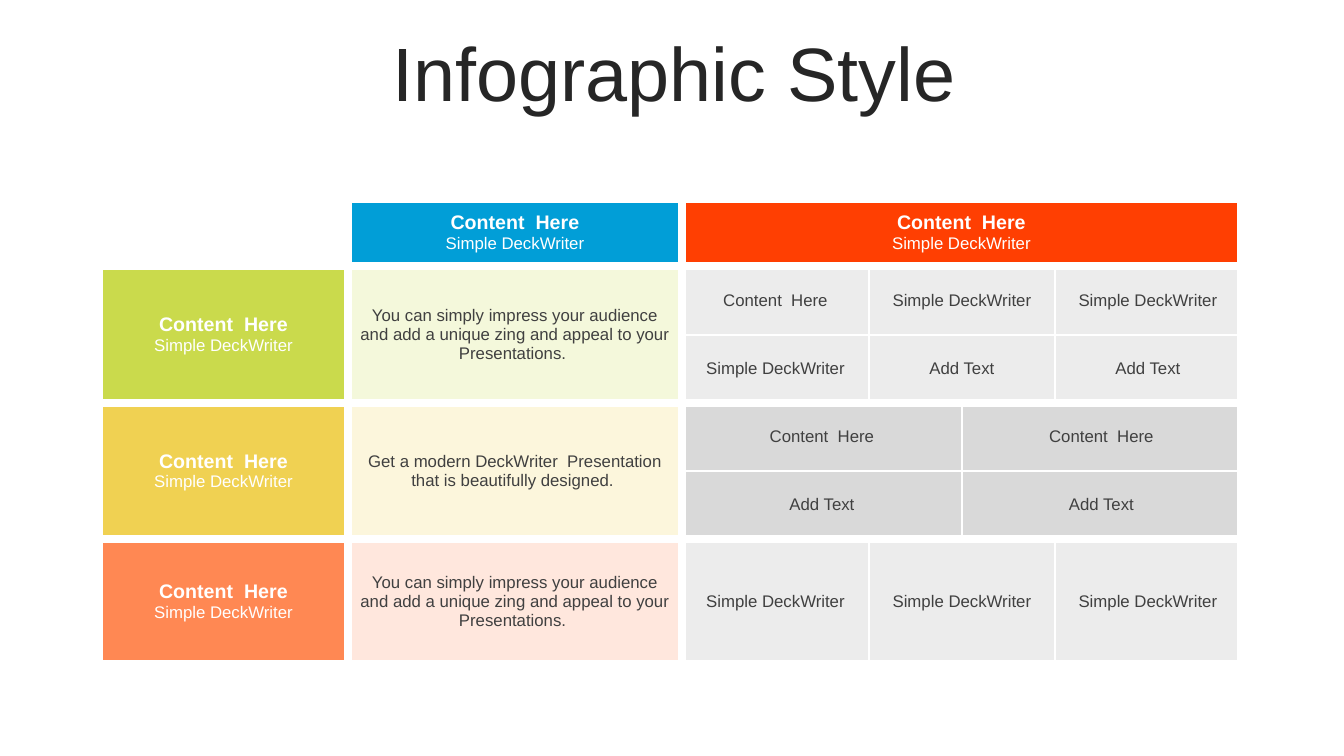
from lxml import etree
from pptx import Presentation
from pptx import util as u
from pptx.dml import color
from pptx.enum import text
from pptx.oxml import ns

SCALE = 914400 / 100.8
COLUMNS = [249, 334, 187, 93, 93, 186]
ROWS = [67, 69, 68, 68, 68, 125]
PRODUCT = "Simple DeckWriter"
HEADING = f"Content  Here\n{PRODUCT}"
PITCH = "You can simply impress your audience and add a unique zing and appeal to your Presentations. "
MODERN = "Get a modern DeckWriter  Presentation that is beautifully designed. "
LIGHT, DARK = "ECECEC", "D9D9D9"

BLOCKS = [
    (0, 1, 1, 1, "019ED7", HEADING),
    (0, 2, 1, 4, "FF3F02", HEADING),
    (1, 0, 2, 1, "CADA4C", HEADING),
    (1, 1, 2, 1, "F4F8DB", PITCH),
    (3, 0, 2, 1, "F0D152", HEADING),
    (3, 1, 2, 1, "FCF6DC", MODERN),
    (5, 0, 1, 1, "FF8853", HEADING),
    (5, 1, 1, 1, "FFE7DD", PITCH),
]
DETAILS = [
    (1, LIGHT, ["Content  Here", PRODUCT, PRODUCT]),
    (2, LIGHT, [PRODUCT, "Add Text", "Add Text"]),
    (3, DARK, ["Content  Here", "Content  Here"]),
    (4, DARK, ["Add Text", "Add Text"]),
    (5, LIGHT, [PRODUCT] * 3),
]
SPANS = {2: [(2, 2), (4, 2)], 3: [(2, 1), (3, 2), (5, 1)]}
for row, fill, labels in DETAILS:
    for (column, width), label in zip(SPANS[len(labels)], labels):
        BLOCKS.append((row, column, 1, width, fill, label))


def px(length):
    return u.Emu(round(length * SCALE))


def style(para, size, hex_color, bold=False):
    para.alignment = text.PP_ALIGN.CENTER
    for span in para.runs:
        span.font.name = "Arial"
        span.font.size = u.Pt(size)
        span.font.bold = bold
        span.font.color.rgb = color.RGBColor.from_string(hex_color)


deck = Presentation()
deck.slide_width, deck.slide_height = px(1344), px(756)
page = deck.slides.add_slide(deck.slide_layouts[6])

title = page.shapes.add_textbox(px(36), px(37), px(1276), px(80)).text_frame
title.word_wrap = True
title.vertical_anchor = text.MSO_ANCHOR.MIDDLE
title.text = "Infographic Style"
title.paragraphs[0].line_spacing = 0.9
style(title.paragraphs[0], 54, "262626")

frame = page.shapes.add_table(len(ROWS), len(COLUMNS), px(99), px(199), px(sum(COLUMNS)), px(sum(ROWS)))
table = frame.table
table.first_row = False
table.horz_banding = False
for column, width in enumerate(COLUMNS):
    table.columns[column].width = px(width)
for row, height in enumerate(ROWS):
    table.rows[row].height = px(height)
table.cell(0, 0).fill.background()

for row, column, height, width, fill, label in BLOCKS:
    detail = row > 0 and column >= 2
    thin_edges = {
        "a:lnL": detail and column > 2,
        "a:lnR": detail and column + width < len(COLUMNS),
        "a:lnT": detail and row in (2, 4),
        "a:lnB": detail and row in (1, 3),
    }
    for line_row in range(row, row + height):
        for line_column in range(column, column + width):
            properties = table.cell(line_row, line_column)._tc.get_or_add_tcPr()
            for edge, thin in thin_edges.items():
                line = etree.SubElement(properties, ns.qn(edge), w=str(u.Pt(2.25 if thin else 6)))
                solid = etree.SubElement(line, ns.qn("a:solidFill"))
                etree.SubElement(solid, ns.qn("a:srgbClr"), val="FFFFFF")
    cell = table.cell(row, column)
    if height * width > 1:
        cell.merge(table.cell(row + height - 1, column + width - 1))
    cell.fill.solid()
    cell.fill.fore_color.rgb = color.RGBColor.from_string(fill)
    cell.vertical_anchor = text.MSO_ANCHOR.MIDDLE
    cell.text_frame.text = label
    for index, para in enumerate(cell.text_frame.paragraphs):
        if label == HEADING:
            style(para, 12 if index else 14, "FFFFFF", index == 0)
        else:
            style(para, 12, "404040")

deck.save("out.pptx")
